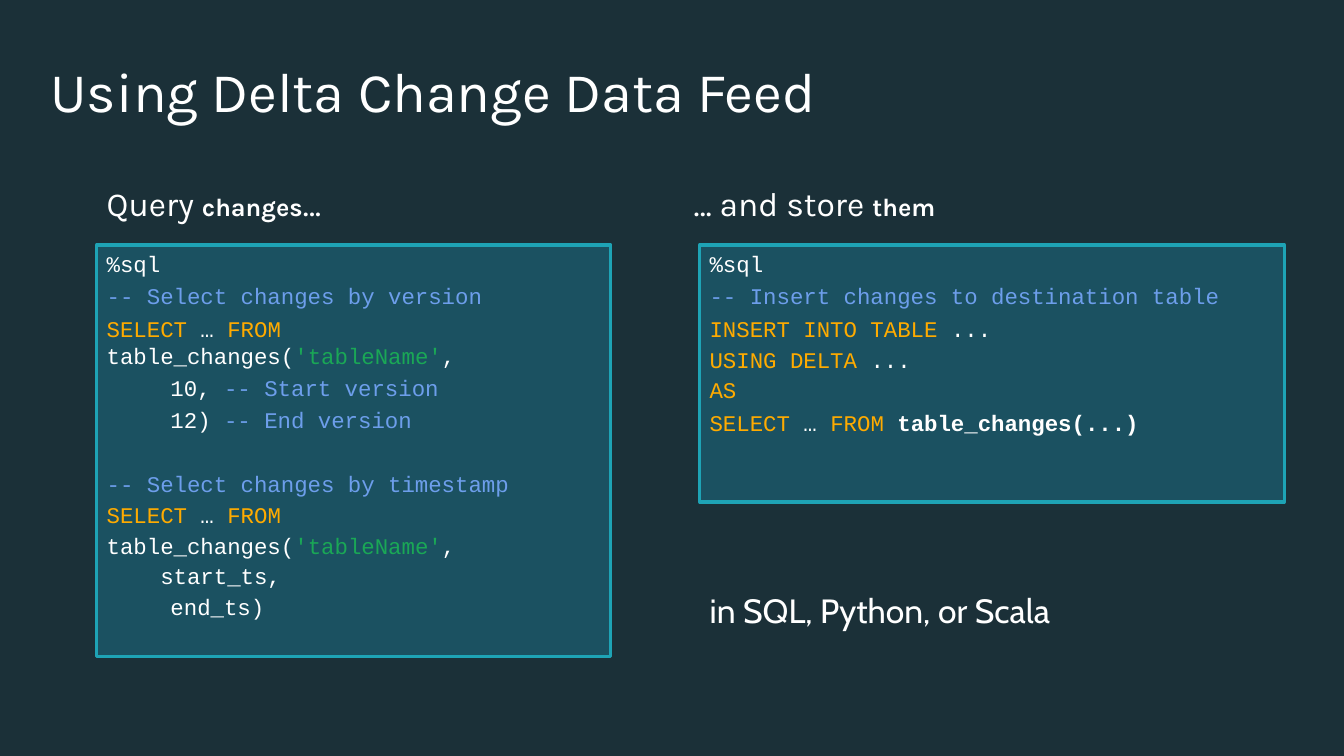
from pptx import Presentation
from pptx.dml.color import RGBColor
from pptx.enum.shapes import MSO_SHAPE
from pptx.enum.text import MSO_ANCHOR, PP_ALIGN
from pptx.util import Inches, Pt

WHITE, COMMENT, KEYWORD, STRING = "FFFFFF", "6D9EEB", "FFAB00", "1AA756"


def color(hex_code):
    return RGBColor.from_string(hex_code)


def add_runs(paragraph, runs, font_name):
    """Append runs given as (text, size, colour, bold)."""
    for text, size, hex_code, bold in runs:
        run = paragraph.add_run()
        run.text = text
        run.font.name = font_name
        run.font.size = Pt(size)
        run.font.bold = bold
        run.font.color.rgb = color(hex_code)


presentation = Presentation()
presentation.slide_width = Inches(13.33)
presentation.slide_height = Inches(7.5)
slide = presentation.slides.add_slide(presentation.slide_layouts[6])
slide.background.fill.solid()
slide.background.fill.fore_color.rgb = color("1B3038")

# Title
title = slide.shapes.add_textbox(Inches(0.5), Inches(0.4), Inches(12.31), Inches(1.08)).text_frame
title.word_wrap = True
title.vertical_anchor = MSO_ANCHOR.MIDDLE
title.margin_left = title.margin_right = 0
title.paragraphs[0].line_spacing = 0.9
add_runs(title.paragraphs[0], [("Using Delta Change Data Feed", 40, WHITE, False)], "Karla")

# Code panels: each line is (space before, line spacing, left margin, first indent, runs)
select_from = [("SELECT", KEYWORD), (" … ", WHITE), ("FROM", KEYWORD)]
select_changes = select_from + [(" table_changes(", WHITE), ("'tableName'", STRING), (",", WHITE)]
store_code = [
    (0, 1, 0, 0, [("%sql", WHITE)]),
    (4, 1, 0, 0, [("-- Insert changes to destination table", COMMENT)]),
    (4, 1, 0, 0, [("INSERT INTO TABLE", KEYWORD), (" ...", WHITE)]),
    (0, 1.15, 0, 0, [("USING DELTA", KEYWORD), (" ...", WHITE)]),
    (0, 1.15, 0, 0, [("AS", KEYWORD)]),
    (4, 1, 0, 0, select_from + [(" ", KEYWORD), ("table_changes(...)", WHITE, True)]),
]
query_code = [
    (0, 1, 0, 0, [("%sql", WHITE)]),
    (4, 1, 0, 0, [("-- Select changes by version", COMMENT)]),
    (4, 1, 0, 0, select_changes),
    (4, 1, 0, 0.5, [(" 10, ", WHITE), ("-- Start version", COMMENT)]),
    (4, 1, 0.5, 0, [(" 12) ", WHITE), ("-- End version", COMMENT)]),
    (26, 1, 0, 0, [("-- Select changes by timestamp", COMMENT)]),
    (0, 1.15, 0, 0, select_changes),
    (0, 1.15, 0, 0, [("    start_ts,", WHITE)]),
    (0, 1.15, 0, 0.5, [(" end_ts)", WHITE)]),
]
for left, width, height, code in [(6.94, 5.8, 2.55, store_code), (0.96, 5.1, 4.08, query_code)]:
    panel = slide.shapes.add_shape(
        MSO_SHAPE.RECTANGLE, Inches(left), Inches(2.43), Inches(width), Inches(height))
    panel.shadow.inherit = False
    panel.fill.solid()
    panel.fill.fore_color.rgb = color("1B5161")
    panel.line.color.rgb = color("1EA3B5")
    panel.line.width = Pt(2.25)
    frame = panel.text_frame
    frame.word_wrap = True
    frame.vertical_anchor = MSO_ANCHOR.TOP
    for index, (before, spacing, margin, indent, runs) in enumerate(code):
        line = frame.add_paragraph() if index else frame.paragraphs[0]
        line.alignment = PP_ALIGN.LEFT
        line.space_before = Pt(before)
        line.line_spacing = spacing
        properties = line._p.get_or_add_pPr()
        properties.set("marL", str(Inches(margin)))
        properties.set("indent", str(Inches(indent)))
        add_runs(line, [(text, 16, hue, bool(bold)) for text, hue, *bold in runs], "Courier New")

# Headings above the panels and the closing remark
captions = [
    (0.96, 1.71, 4.31, "Karla",
     [("Query ", 24, WHITE, False), ("changes", 18, WHITE, True), ("…", 24, WHITE, False)]),
    (6.78, 1.71, 4.08, "Karla",
     [("… and store ", 24, WHITE, False), ("them", 18, WHITE, True)]),
    (6.94, 5.75, 4.08, "Cabin", [("in SQL, Python, or Scala", 24, WHITE, False)]),
]
for left, top, width, font_name, runs in captions:
    caption = slide.shapes.add_textbox(
        Inches(left), Inches(top), Inches(width), Inches(0.84)).text_frame
    caption.word_wrap = True
    caption.margin_top = caption.margin_bottom = Inches(0.1)
    add_runs(caption.paragraphs[0], runs, font_name)

presentation.save("out.pptx")
